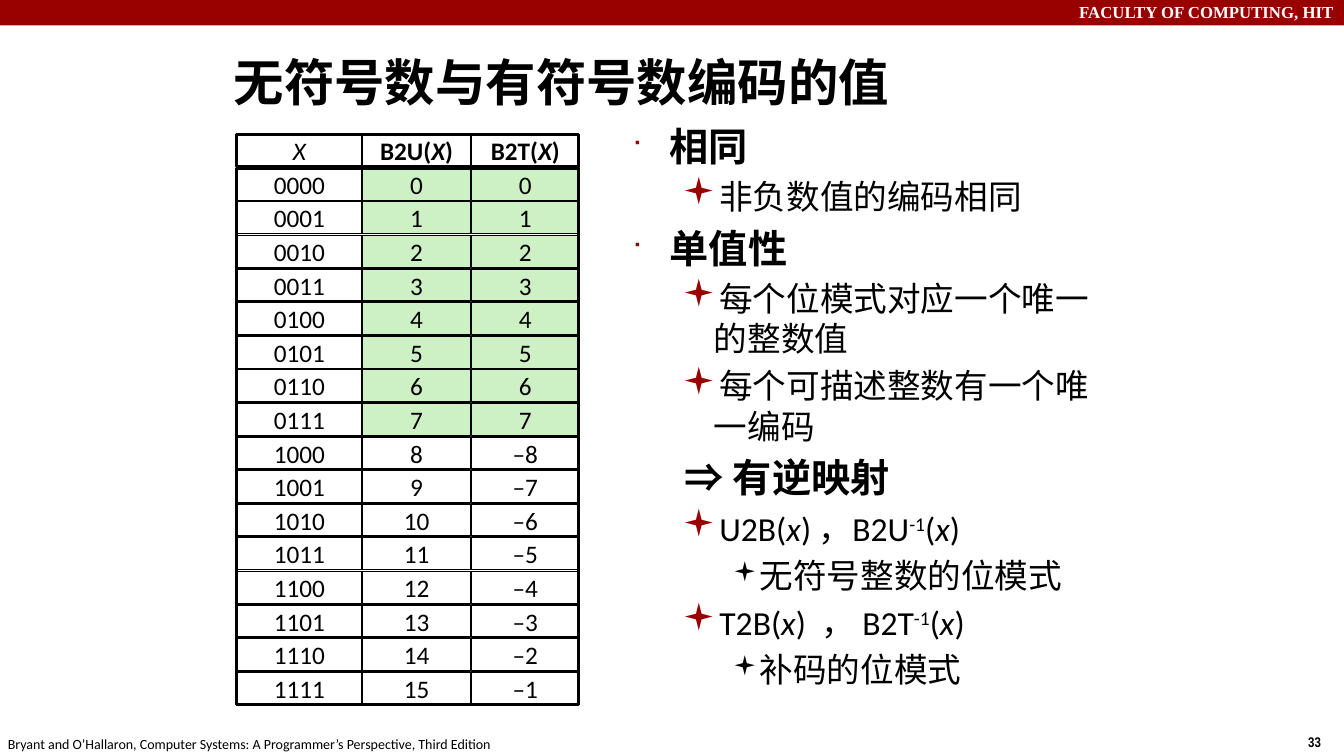
from dataclasses import dataclass

from lxml import etree
from pptx import Presentation
from pptx.dml.color import RGBColor
from pptx.enum.lang import MSO_LANGUAGE_ID
from pptx.enum.shapes import MSO_SHAPE
from pptx.enum.text import MSO_ANCHOR, PP_ALIGN
from pptx.oxml.ns import qn
from pptx.util import Cm, Pt

BLACK = RGBColor(0x00, 0x00, 0x00)
WHITE = RGBColor(0xFF, 0xFF, 0xFF)
CRIMSON = RGBColor(0x99, 0x00, 0x00)
PALE_GREEN = RGBColor(0xCD, 0xF1, 0xC5)
RECTANGLE = MSO_SHAPE.RECTANGLE
LEFT, CENTER, RIGHT = PP_ALIGN.LEFT, PP_ALIGN.CENTER, PP_ALIGN.RIGHT
MIDDLE = MSO_ANCHOR.MIDDLE
CHINESE = MSO_LANGUAGE_ID.SIMPLIFIED_CHINESE

SLIDE_WIDTH, SLIDE_HEIGHT = 33.87, 19.05
BITS = 4
CODES = 2 ** BITS
GRID_TOP, GRID_WIDTH = 3.39, 8.61
ROW_PITCH, CELL_HEIGHT = 2.54 / 3, 0.81
COLUMNS = ((5.97, 3.15), (9.14, 2.72), (11.88, 2.72))  # left, width


@dataclass(frozen=True)
class Piece:
    text: str
    italic: bool = False
    superscript: bool = False
    spacing: float = 0


@dataclass(frozen=True)
class Level:
    depth: int
    margin: float
    hanging: float
    size: int
    bold: bool = False
    bullet: str = ""
    bullet_percent: int = 100
    bullet_color: RGBColor = CRIMSON


@dataclass(frozen=True)
class Label:
    text: str
    left: float
    top: float
    width: float
    height: float
    size: int
    font: str = "Calibri"
    bold: bool = True
    color: RGBColor = BLACK
    align: PP_ALIGN = LEFT


TOPIC = Level(0, 0.95, 0.95, 28, True, "■", 60)
POINT = Level(1, 2.06, 0.79, 24, False, "▪", 110)
DETAIL = Level(2, 3.18, 0.64, 24, False, "▪", 80, BLACK)
CONCLUSION = Level(0, 1.33, 0, 28, True)

X_BITS = Piece("X", italic=True)
X_VALUE = Piece("x", italic=True)
INVERSE = Piece("-1", superscript=True)

LABELS = (
    Label("FACULTY OF COMPUTING, HIT", 0.25, 0.05, 33.36, 0.5, 12,
          "Times New Roman", color=WHITE, align=RIGHT),
    Label("33", 32.97, 18.49, 0.7, 0.45, 10, "Arial Narrow"),
    Label("Bryant and O’Hallaron, Computer Systems: A Programmer’s Perspective, "
          "Third Edition", 0.2, 18.54, 13, 0.45, 10, bold=False),
    Label("无符号数与有符号数编码的值", 5.89, 1.3, 17, 1.52, 36),
)

OUTLINE = (
    (TOPIC, (Piece("相同"),)),
    (POINT, (Piece("非负数值的编码相同"),)),
    (TOPIC, (Piece("单值性"),)),
    (POINT, (Piece("每个位模式对应一个唯一的整数值"),)),
    (POINT, (Piece("每个可描述整数有一个唯一编码"),)),
    (CONCLUSION, (Piece("⇒ 有逆映射"),)),
    (POINT, (Piece("U2B("), X_VALUE, Piece(") ，B2U"), INVERSE,
             Piece("("), X_VALUE, Piece(")"))),
    (DETAIL, (Piece("无符号整数的位模式"),)),
    (POINT, (Piece("T2B("), X_VALUE, Piece(")", spacing=5.4), Piece(" ， B2T"), INVERSE,
             Piece("("), X_VALUE, Piece(")"))),
    (DETAIL, (Piece("补码的位模式"),)),
)


def add_pieces(paragraph, pieces: tuple[Piece, ...], size: int, bold: bool,
               font: str = "Calibri", color: RGBColor = BLACK) -> None:
    for piece in pieces:
        run = paragraph.add_run()
        run.text = piece.text
        formats = {"name": font, "size": Pt(size), "bold": bold,
                   "italic": piece.italic, "language_id": CHINESE}
        for name, value in formats.items():
            setattr(run.font, name, value)
        run.font.color.rgb = color
        if piece.superscript:
            run._r.get_or_add_rPr().set("baseline", "30000")
        if piece.spacing:
            run._r.get_or_add_rPr().set("spc", str(round(piece.spacing * 100)))


def add_frame(slide, left: float, top: float, width: float, height: float):
    box = slide.shapes.add_textbox(Cm(left), Cm(top), Cm(width), Cm(height))
    frame = box.text_frame
    formats = {"word_wrap": True, "margin_left": 0, "margin_right": 0,
               "margin_top": 0, "margin_bottom": 0}
    for name, value in formats.items():
        setattr(frame, name, value)
    return frame


def add_label(slide, label: Label) -> None:
    frame = add_frame(slide, label.left, label.top, label.width, label.height)
    paragraph = frame.paragraphs[0]
    paragraph.alignment = label.align
    add_pieces(paragraph, (Piece(label.text),), label.size, label.bold,
               label.font, label.color)


def set_level(paragraph, level: Level) -> None:
    paragraph.level = level.depth
    properties = paragraph._p.get_or_add_pPr()
    properties.set("marL", str(Cm(level.margin)))
    properties.set("indent", str(-Cm(level.hanging)))
    if level.bullet:
        color = etree.SubElement(properties, qn("a:buClr"))
        etree.SubElement(color, qn("a:srgbClr"), val=str(level.bullet_color))
        etree.SubElement(properties, qn("a:buSzPct"), val=str(level.bullet_percent * 1000))
        etree.SubElement(properties, qn("a:buFont"), typeface="Wingdings", charset="2")
        etree.SubElement(properties, qn("a:buChar"), char=level.bullet)
    else:
        etree.SubElement(properties, qn("a:buNone"))


def add_outline(slide) -> None:
    frame = add_frame(slide, 15.93, 3.08, 11.88, 15.8)
    for index, (level, pieces) in enumerate(OUTLINE):
        paragraph = frame.add_paragraph() if index else frame.paragraphs[0]
        set_level(paragraph, level)
        if index:
            paragraph.space_before = Pt(level.size * 0.2)
        add_pieces(paragraph, pieces, level.size, level.bold)


def add_rectangle(shapes, left: float, top: float, width: float, height: float,
                  fill: RGBColor | None, line_width: float):
    rectangle = shapes.add_shape(RECTANGLE, Cm(left), Cm(top), Cm(width), Cm(height))
    rectangle.shadow.inherit = False
    if fill is None:
        rectangle.fill.background()
    else:
        rectangle.fill.solid()
        rectangle.fill.fore_color.rgb = fill
    if line_width:
        rectangle.line.color.rgb = BLACK
        rectangle.line.width = Pt(line_width)
    else:
        rectangle.line.fill.background()
    return rectangle


def encoding_rows() -> list[tuple[tuple[Piece, ...], ...]]:
    rows = [((X_BITS,),
             (Piece("B2U("), X_BITS, Piece(")")),
             (Piece("B2T("), X_BITS, Piece(")")))]
    for value in range(CODES):
        signed = str(value) if value < CODES // 2 else f"–{CODES - value}"
        rows.append(tuple((Piece(text),) for text in (f"{value:0{BITS}b}", str(value), signed)))
    return rows


def add_encoding_grid(slide) -> None:
    shapes = slide.shapes.add_group_shape().shapes
    for r, row in enumerate(encoding_rows()):
        for c, (pieces, (left, width)) in enumerate(zip(row, COLUMNS)):
            same_value = c > 0 and 0 < r <= CODES // 2
            cell = add_rectangle(shapes, left, GRID_TOP + r * ROW_PITCH, width, CELL_HEIGHT,
                                 PALE_GREEN if same_value else WHITE, 1)
            frame = cell.text_frame
            frame.word_wrap = False
            frame.vertical_anchor = MIDDLE
            paragraph = frame.paragraphs[0]
            paragraph.alignment = CENTER
            add_pieces(paragraph, pieces, 18, bold=r == 0 and c > 0)
    # Heavy outlines around the header and the body
    for first_row, row_count in ((0, 1), (1, CODES)):
        add_rectangle(shapes, COLUMNS[0][0], GRID_TOP + first_row * ROW_PITCH, GRID_WIDTH,
                      (row_count - 1) * ROW_PITCH + CELL_HEIGHT, None, 2)


def main() -> None:
    presentation = Presentation()
    presentation.slide_width, presentation.slide_height = Cm(SLIDE_WIDTH), Cm(SLIDE_HEIGHT)
    slide = presentation.slides.add_slide(presentation.slide_layouts[6])

    # Faculty banner
    add_rectangle(slide.shapes, 0, 0, SLIDE_WIDTH, 0.64, CRIMSON, 0)

    # Banner text, page number, footer and title
    for label in LABELS:
        add_label(slide, label)

    # Properties of the encodings and the grid of values
    add_outline(slide)
    add_encoding_grid(slide)
    presentation.save("out.pptx")


if __name__ == "__main__":
    main()
